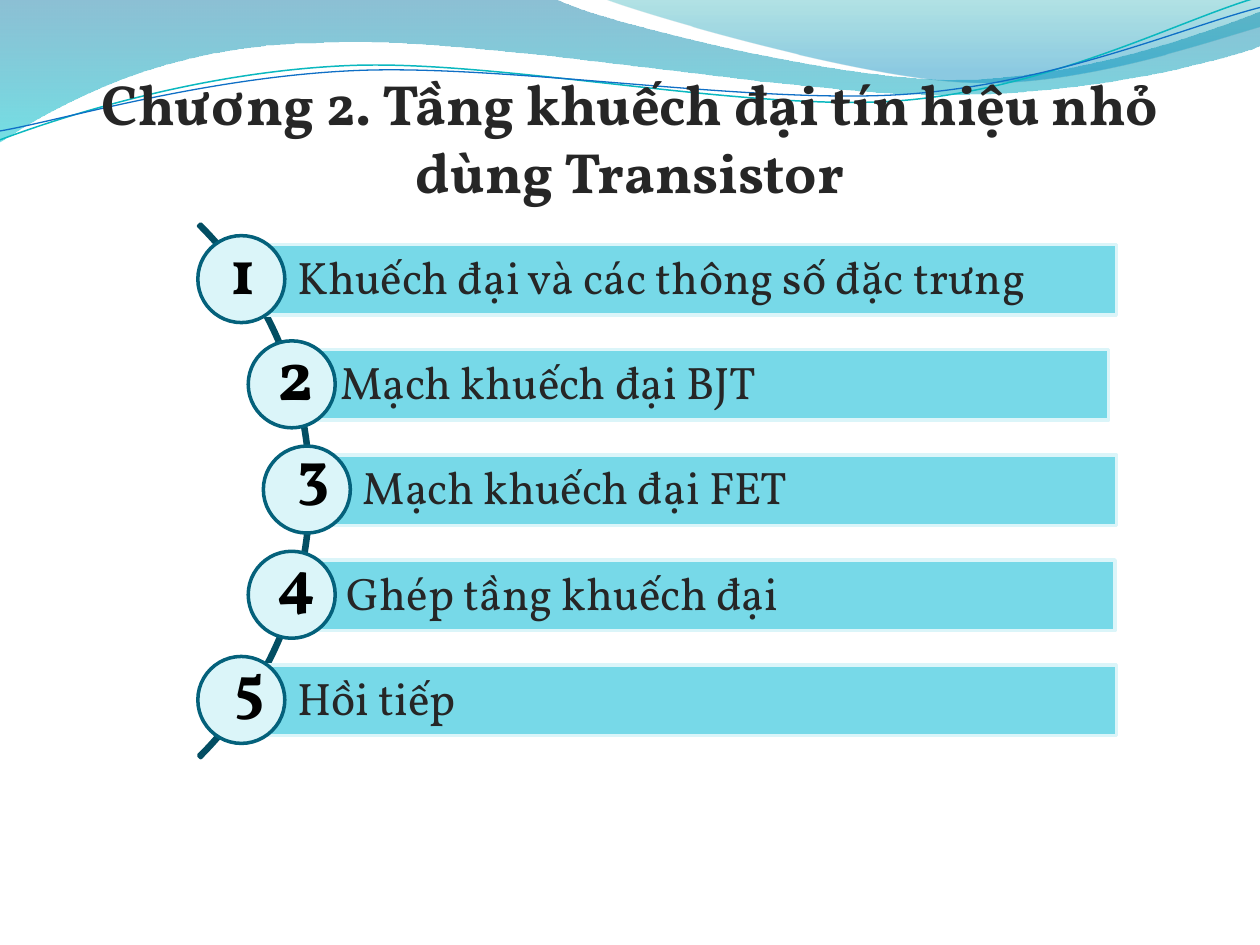
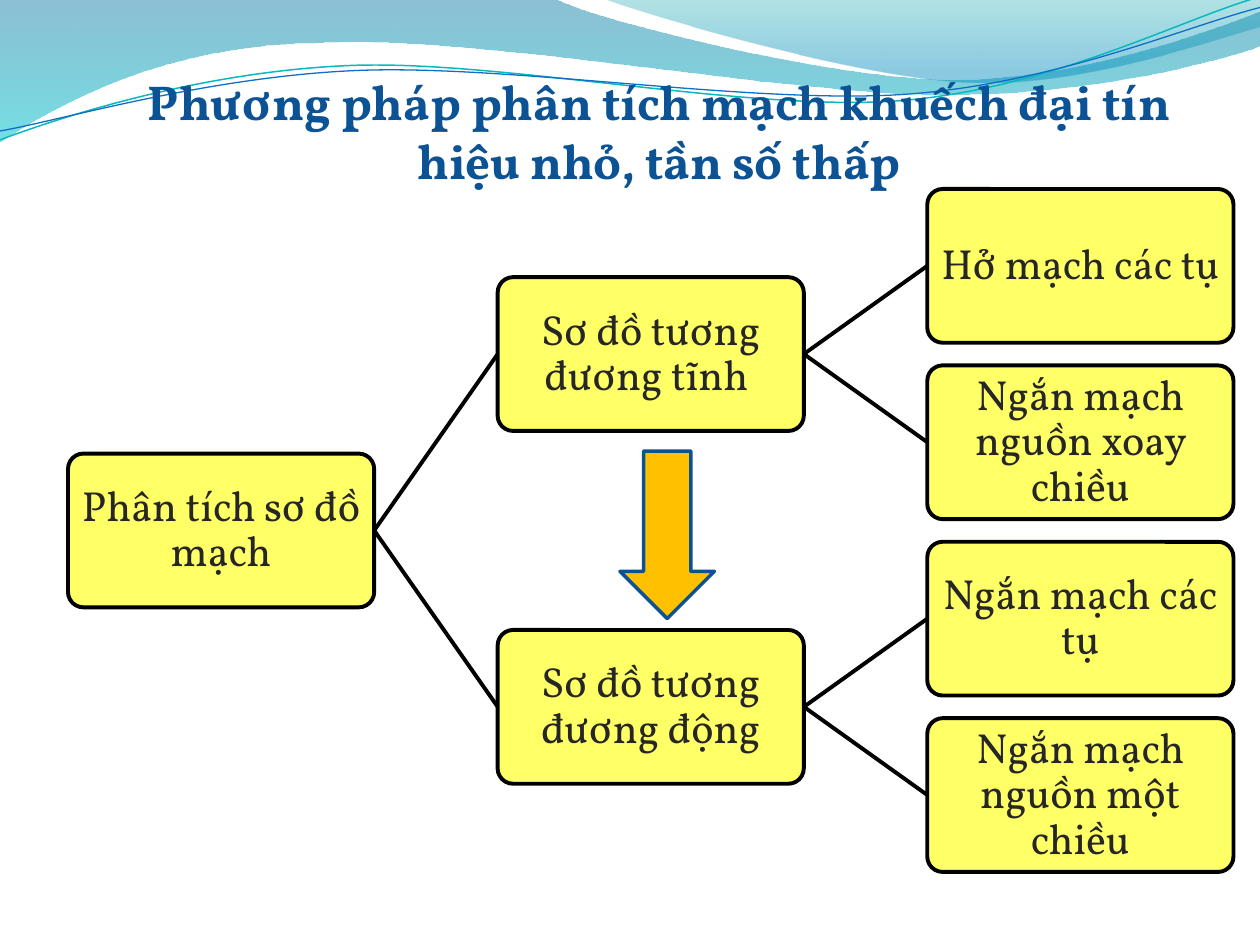
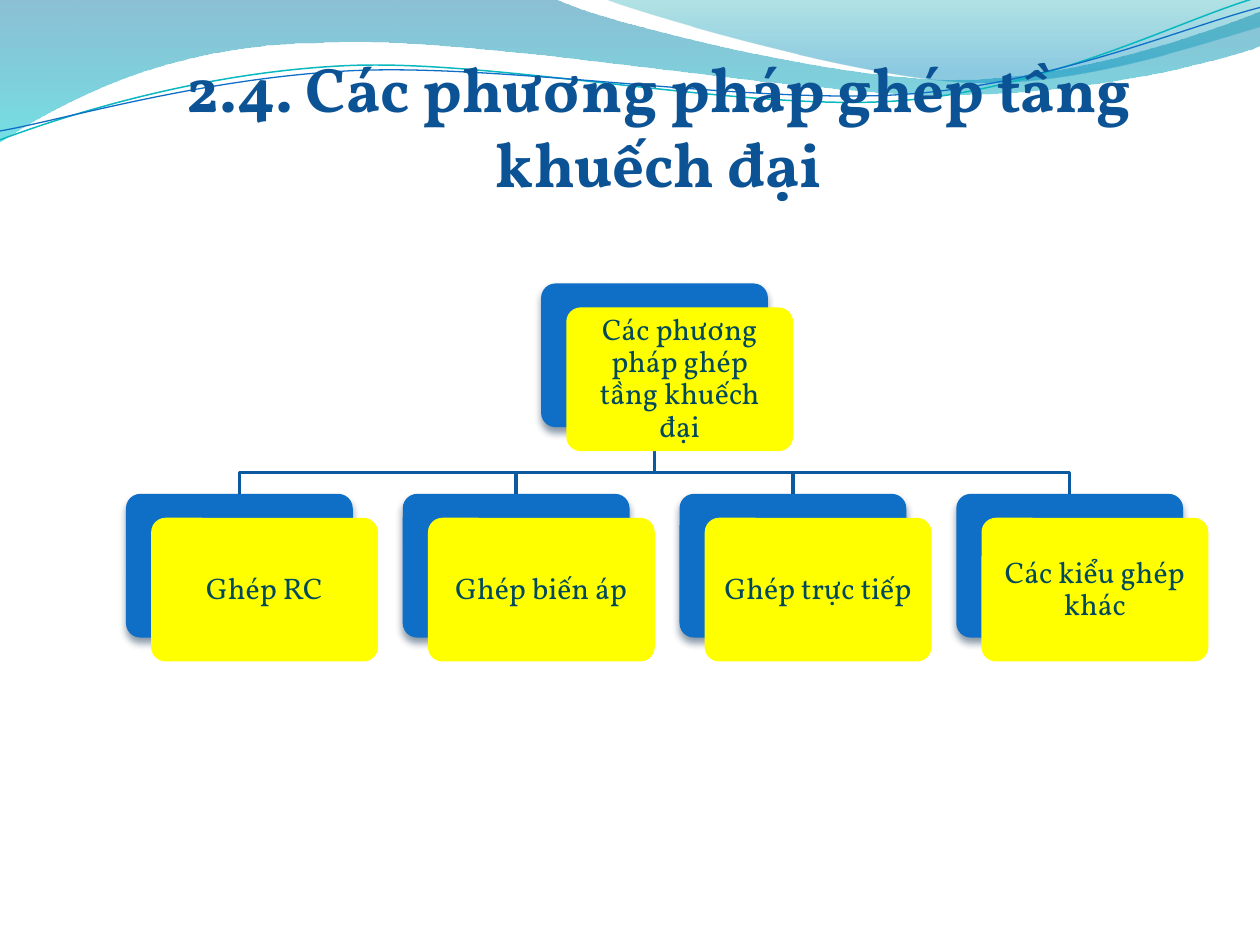
from dataclasses import dataclass
from math import cos, radians, sin

from lxml.etree import SubElement
from pptx import Presentation
from pptx.dml.color import RGBColor
from pptx.enum.shapes import MSO_CONNECTOR, MSO_SHAPE
from pptx.enum.text import MSO_ANCHOR, MSO_AUTO_SIZE, PP_ALIGN
from pptx.oxml.ns import qn
from pptx.util import Inches, Pt


@dataclass(frozen=True)
class Theme:
    font: str = "Vollkorn"
    dark: str = "262626"
    black: str = "000000"
    title_blue: str = "0B5394"
    bar: str = "77D9E8"
    pale: str = "DBF5F9"
    circle_line: str = "04617B"
    arc: str = "034E63"
    tree_fill: str = "FFFF66"
    arrow: str = "FFC000"
    arrow_line: str = "0B5292"
    card_back: str = "0F6FC6"
    card_front: str = "FFFF00"
    card_text: str = "03495C"
    card_line: str = "0C599F"
    card_shadow: str = "042747"
    agenda_size: float = 26
    tree_size: float = 24
    card_size: float = 17


THEME = Theme()

BANDS = [
    {
        "start": (0, -0.01),
        "segments": [
            (4.4, -0.01),
            (4.76, 0.17, 6.64, 0.63, 7.58, 0.63),
            (8.53, 0.63, 9.58, 0.26, 10, 0.09),
            (10.01, 0.36),
            (9.83, 0.44, 8.7, 0.76, 7.46, 0.75),
            (6.22, 0.75, 3.82, 0.28, 2.57, 0.34),
            (1.29, 0.35, 0.46, 0.83, -0.01, 1.13),
            (0, -0.01),
        ],
        "stops": [(0, "0074A1", 45), (100, "00C6CF", 55)],
    },
    {
        "start": (4.79, -0.01),
        "segments": [
            (5.09, 0.11, 6.82, 0.62, 7.69, 0.65),
            (8.56, 0.69, 9.61, 0.32, 10, 0.21),
            (10, 0),
            (4.79, -0.01),
        ],
        "stops": [(0, "00A1A9", 30), (80, "008BBF", 45)],
    },
]
WAVE_TILT = -2.7
WAVE_LINES = [
    {
        "start": (0, 1.11),
        "segments": [
            (0.48, 0.93, 1.58, 0.57, 2.77, 0.52),
            (3.95, 0.47, 5.93, 0.89, 7.13, 0.8),
            (8.33, 0.71, 9.38, 0.15, 9.98, -0.02),
        ],
        "center": (4.99, 0.58),
        "line": ("0AB8BF", 0.85),
    },
    {
        "start": (0, 1.04),
        "segments": [
            (0.47, 0.96, 1.64, 0.61, 2.83, 0.56),
            (4.03, 0.51, 5.97, 0.83, 7.17, 0.75),
            (8.36, 0.67, 9.41, 0.21, 10, 0.06),
        ],
        "center": (5, 0.59),
        "line": ("0F6FC6", 0.75),
    },
]

AGENDA_TITLE = "Chương 2. Tầng khuếch đại tín hiệu nhỏ dùng Transistor"
AGENDA = [
    ("Khuếch đại và các thông số đặc trưng", 1.57, (1.92, 8.86), (1.73, 1.79), 36),
    ("Mạch khuếch đại BJT", 1.97, (2.26, 8.8), (2.1, 2.57), 40),
    ("Mạch khuếch đại FET", 2.09, (2.44, 8.86), (2.26, 3.38), 36),
    ("Ghép tầng khuếch đại", 1.97, (2.31, 8.85), (2.1, 4.25), 36),
    ("Hồi tiếp", 1.57, (1.92, 8.86), (1.76, 5.08), 36),
]

ANALYSIS_TITLE = "Phương pháp phân tích mạch khuếch đại tín hiệu nhỏ, tần số thấp"
ANALYSIS_ROOT = "Phân tích sơ đồ mạch"
ANALYSIS_BRANCHES = [
    ("Sơ đồ tương đương tĩnh ", ["Hở mạch các tụ", "Ngắn mạch nguồn xoay chiều"]),
    ("Sơ đồ tương đương động", ["Ngắn mạch các tụ", "Ngắn mạch nguồn một chiều"]),
]

COUPLING_TITLE = "2.4. Các phương pháp ghép tầng khuếch đại"
COUPLING_ROOT = "Các phương pháp ghép tầng khuếch đại"
COUPLINGS = ["Ghép RC", "Ghép biến áp", "Ghép trực tiếp", "Các kiểu ghép khác"]


def inches(*values):
    return tuple(Inches(value) for value in values)


def write(shape, text, size, color, bold=False, align=PP_ALIGN.LEFT,
          anchor=MSO_ANCHOR.MIDDLE, insets=(0.1, 0.05, 0.1, 0.05), spacing=None):
    frame = shape.text_frame
    frame.word_wrap = True
    frame.auto_size = MSO_AUTO_SIZE.NONE
    frame.vertical_anchor = anchor
    (frame.margin_left, frame.margin_top,
     frame.margin_right, frame.margin_bottom) = inches(*insets)
    paragraph = frame.paragraphs[0]
    paragraph.alignment = align
    if spacing:
        paragraph.line_spacing = spacing
    run = paragraph.add_run()
    run.text = text
    run.font.name = THEME.font
    run.font.size = Pt(size)
    run.font.bold = bold
    run.font.color.rgb = RGBColor.from_string(color)


def set_line(shape, color, width):
    shape.line.color.rgb = RGBColor.from_string(color)
    shape.line.width = Pt(width)


def paint(shape, fill=None, line=None):
    shape.shadow.inherit = False
    if fill:
        shape.fill.solid()
        shape.fill.fore_color.rgb = RGBColor.from_string(fill)
    else:
        shape.fill.background()
    if line:
        set_line(shape, *line)
    else:
        shape.line.fill.background()


def add_shape(slide, kind, box, fill=None, line=None, adjustments=()):
    shape = slide.shapes.add_shape(kind, *inches(*box))
    for index, value in enumerate(adjustments):
        shape.adjustments[index] = value
    paint(shape, fill, line)
    return shape


def add_outline(slide, points, close=False):
    start, *rest = [inches(*point) for point in points]
    builder = slide.shapes.build_freeform(*start)
    builder.add_line_segments(rest, close=close)
    return builder.convert_to_shape()


def turn(point, center, degrees):
    angle = radians(degrees)
    x, y = point[0] - center[0], point[1] - center[1]
    return (center[0] + x * cos(angle) - y * sin(angle),
            center[1] + x * sin(angle) + y * cos(angle))


def add_curve(slide, start, segments, close=False, center=(0, 0), tilt=0):
    points = [start]
    for segment in segments:
        points += zip(segment[::2], segment[1::2])
    shape = add_outline(slide, [turn(point, center, -tilt) for point in points], close)
    shape.rotation = tilt
    steps = iter(list(shape._element.iter(qn("a:lnTo"))))
    for segment in segments:
        step = next(steps)
        if len(segment) == 6:
            step.tag = qn("a:cubicBezTo")
            for control in (next(steps), next(steps)):
                step.append(control[0])
                control.getparent().remove(control)
    return shape


def add_color(parent, color, opacity):
    element = SubElement(parent, qn("a:srgbClr"), val=color)
    SubElement(element, qn("a:alpha"), val=str(opacity * 1000))


def fade(shape, stops):
    properties = shape._element.spPr
    empty_fill = properties.find(qn("a:noFill"))
    gradient = SubElement(properties, qn("a:gradFill"), rotWithShape="1")
    properties.replace(empty_fill, gradient)
    stop_list = SubElement(gradient, qn("a:gsLst"))
    for position, color, opacity in stops:
        stop = SubElement(stop_list, qn("a:gs"), pos=str(position * 1000))
        add_color(stop, color, opacity)
    SubElement(gradient, qn("a:lin"), ang="5400000", scaled="0")


def add_shadow(shape, color, opacity, blur, distance):
    effects = shape._element.spPr.find(qn("a:effectLst"))
    shadow = SubElement(effects, qn("a:outerShdw"), blurRad=str(Pt(blur)),
                        dist=str(Pt(distance)), dir="5400000", rotWithShape="0")
    add_color(shadow, color, opacity)


def decorate_master(presentation, slide):
    waves = []
    for band in BANDS:
        shape = add_curve(slide, band["start"], band["segments"], close=True)
        paint(shape)
        fade(shape, band["stops"])
        waves.append(shape)
    for wave in WAVE_LINES:
        shape = add_curve(slide, wave["start"], wave["segments"],
                          center=wave["center"], tilt=WAVE_TILT)
        paint(shape, line=wave["line"])
        waves.append(shape)
    tree = presentation.slide_master.shapes._spTree
    for index, shape in enumerate(waves):
        tree.insert(2 + index, shape._element)


def add_slide(presentation, title, box, size, color):
    slide = presentation.slides.add_slide(presentation.slide_layouts[5])
    shape = slide.shapes.title
    shape.left, shape.top, shape.width, shape.height = inches(*box)
    write(shape, title, size, color, bold=True, align=PP_ALIGN.CENTER,
          anchor=MSO_ANCHOR.BOTTOM, insets=(0, 0.05, 0, 0))
    return slide


def build_agenda(presentation):
    slide = add_slide(presentation, AGENDA_TITLE, (0.5, 0.5, 9, 1.13), 32.4, THEME.dark)
    add_shape(slide, MSO_SHAPE.BLOCK_ARC, (-3.52, 0.9, 5.99, 5.99),
              line=(THEME.arc, 2), adjustments=(189, 27, 0.004))
    first_top, last_top, diameter = 1.87, 5.21, 0.69
    pitch = (last_top - first_top) / (len(AGENDA) - 1)
    for index, (text, circle_left, (left, right), _, _) in enumerate(AGENDA):
        top = first_top + index * pitch
        bar = add_shape(slide, MSO_SHAPE.RECTANGLE, (left, top + 0.07, right - left, 0.56),
                        THEME.bar, (THEME.pale, 2))
        write(bar, text, THEME.agenda_size, THEME.dark,
              insets=(0.44, 0.07, 0.07, 0.07), spacing=0.9)
        add_shape(slide, MSO_SHAPE.OVAL, (circle_left, top, diameter, diameter),
                  THEME.pale, (THEME.circle_line, 2))
    for number, (_, _, _, place, size) in enumerate(AGENDA, start=1):
        label = slide.shapes.add_textbox(*inches(*place, 0.49, 0.71))
        write(label, str(number), size, THEME.black, bold=True, anchor=MSO_ANCHOR.TOP)
    return slide


def add_node(slide, text, column, top):
    node = add_shape(slide, MSO_SHAPE.ROUNDED_RECTANGLE, (0.54 + 3.41 * column, top, 2.43, 1.22),
                     THEME.tree_fill, (THEME.black, 2.25), adjustments=(0.1,))
    write(node, text, THEME.tree_size, THEME.dark, align=PP_ALIGN.CENTER,
          insets=(0.02,) * 4, spacing=0.9)
    return node


def link(slide, parent, child):
    connector = slide.shapes.add_connector(MSO_CONNECTOR.STRAIGHT, 0, 0, 0, 0)
    connector.begin_connect(parent, 3)
    connector.end_connect(child, 1)
    set_line(connector, THEME.black, 2.25)
    SubElement(connector._element.spPr, qn("a:effectLst"))


def build_analysis(presentation):
    slide = add_slide(presentation, ANALYSIS_TITLE, (0.73, 0.58, 9, 0.92), 28, THEME.title_blue)
    first_top, pitch = 1.5, 1.4
    root = add_node(slide, ANALYSIS_ROOT, 0, first_top + 1.5 * pitch)
    for index, (text, leaves) in enumerate(ANALYSIS_BRANCHES):
        top = first_top + 2 * index * pitch
        branch = add_node(slide, text, 1, top + pitch / 2)
        link(slide, root, branch)
        for row, leaf in enumerate(leaves):
            link(slide, branch, add_node(slide, leaf, 2, top + row * pitch))
    add_shape(slide, MSO_SHAPE.DOWN_ARROW, (4.92, 3.58, 0.75, 1.33),
              THEME.arrow, (THEME.arrow_line, 2))


def build_coupling(presentation):
    slide = add_slide(presentation, COUPLING_TITLE, (0.73, 0.42, 9, 1.17), 36, THEME.title_blue)
    width, height, root_top, child_top, bend = 1.8, 1.14, 2.25, 3.92, 3.75
    first_left, last_left = 1, 7.59
    pitch = (last_left - first_left) / (len(COUPLINGS) - 1)
    lefts = [first_left + pitch * index for index in range(len(COUPLINGS))]
    root_left = (first_left + last_left) / 2
    root_middle = root_left + width / 2
    for left in reversed(lefts):
        middle = left + width / 2
        branch = add_outline(slide, [(root_middle, root_top + height), (root_middle, bend),
                                     (middle, bend), (middle, child_top)])
        paint(branch, line=(THEME.card_line, 2))
    cards = [(COUPLING_ROOT, root_left, root_top)]
    cards += [(text, left, child_top) for text, left in zip(COUPLINGS, lefts)]
    for text, left, top in cards:
        back = add_shape(slide, MSO_SHAPE.ROUNDED_RECTANGLE, (left, top, width, height),
                         THEME.card_back, adjustments=(0.1,))
        add_shadow(back, THEME.card_shadow, 48, 4.5, 3)
        front = add_shape(slide, MSO_SHAPE.ROUNDED_RECTANGLE,
                          (left + 0.2, top + 0.19, width, height),
                          THEME.card_front, adjustments=(0.1,))
        write(front, text, THEME.card_size, THEME.card_text, align=PP_ALIGN.CENTER,
              insets=(0.07,) * 4, spacing=0.9)


def main():
    presentation = Presentation()
    presentation.slide_width, presentation.slide_height = inches(10, 7.5)
    agenda = build_agenda(presentation)
    decorate_master(presentation, agenda)
    build_analysis(presentation)
    build_coupling(presentation)
    presentation.save("out.pptx")


if __name__ == "__main__":
    main()
